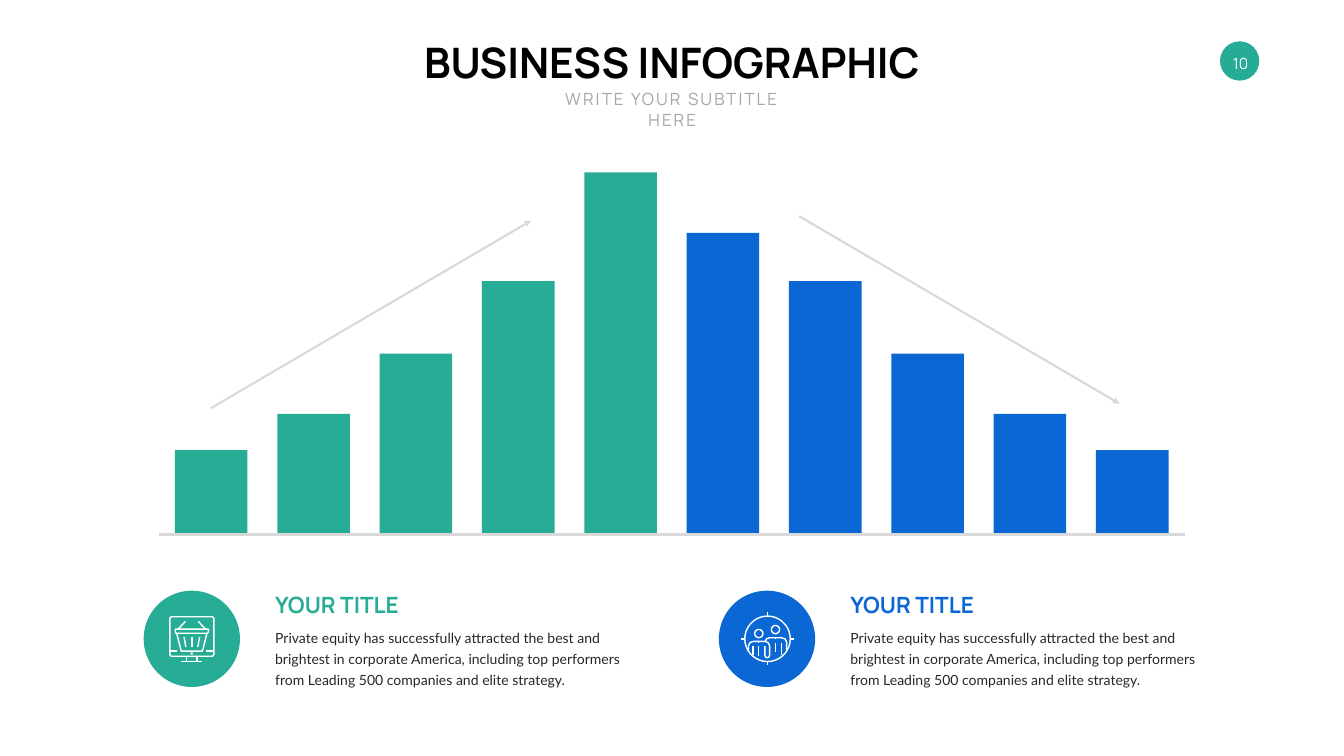
"""Build a rise-and-fall bar infographic slide with two captioned icons."""
import math
from dataclasses import dataclass

import pptx
import pptx.dml.color
import pptx.enum.shapes
import pptx.enum.text
import pptx.oxml
import pptx.oxml.ns
import pptx.util

Inches, Pt = pptx.util.Inches, pptx.util.Pt
SHAPE = pptx.enum.shapes.MSO_SHAPE
ALIGN = pptx.enum.text.PP_ALIGN
ANCHOR = pptx.enum.text.MSO_ANCHOR
Point = tuple[float, float]
Stroke = list[Point]


@dataclass(frozen=True)
class Theme:
    green: str = "27AC95"
    blue: str = "0A67D4"
    badge: str = "26AC95"
    line: str = "D9D9D9"
    muted: str = "A6A6A6"
    ink: str = "272727"
    black: str = "000000"
    white: str = "FFFFFF"
    display: str = "Manrope"
    body: str = "Lato"
    title_pt: int = 60
    heading_pt: int = 32
    subtitle_pt: int = 24
    number_pt: int = 22
    body_pt: int = 20
    leading_pt: int = 30


@dataclass(frozen=True)
class Grid:
    left: float = 3.47
    base: float = 10.61
    column: float = 2.03
    row: float = 7.19 / 30
    bar: float = 1.44

    def x(self, column: float) -> float:
        return self.left + column * self.column

    def y(self, rows: float) -> float:
        return self.base - rows * self.row


@dataclass(frozen=True)
class Bar:
    rows: int
    color: str


@dataclass(frozen=True)
class Rule:
    start: Point
    end: Point
    width: float
    arrow: bool


@dataclass(frozen=True)
class Caption:
    left: float
    color: str
    icon: list[Stroke]
    icon_size: float
    icon_offset: Point


def ring(cx: float, cy: float, r: float, steps: int = 36) -> Stroke:
    turns = [2 * math.pi * i / steps for i in range(steps + 1)]
    return [(cx + r * math.cos(a), cy + r * math.sin(a)) for a in turns]


T, G = Theme(), Grid()
WIDTH, HEIGHT = 26.66, 15
BARS = [Bar(n, T.green) for n in (7, 10, 15, 21, 30)]
BARS += [Bar(n, T.blue) for n in (25, 21, 15, 10, 7)]
RULES = [
    Rule((0.35, 10.47), (3.48, 26), 3, True),
    Rule((6.1, 26.37), (9.23, 10.85), 3, True),
    Rule((-0.16, 0), (9.87, 0), 5, False),
]
BASKET = [
    [(5, 2), (95, 2), (98, 5), (98, 85), (95, 88), (5, 88), (2, 85), (2, 5), (5, 2)],
    [(2, 77), (18, 77)], [(82, 77), (98, 77)],
    [(39, 88), (39, 99)], [(61, 88), (61, 99)], [(27, 99), (73, 99)],
    [(14, 29), (86, 29), (86, 35), (84, 38), (16, 38), (14, 35), (14, 29)],
    [(17, 38), (27, 77), (73, 77), (83, 38)],
    [(33, 46), (37, 68)], [(50, 46), (50, 68)], [(67, 46), (63, 68)],
    [(20, 29), (36, 12)], [(80, 29), (64, 12)], ring(50, 82, 1),
]
PEOPLE = [
    ring(50, 50, 43), ring(33.5, 40, 7.7), ring(65, 32.5, 7.7),
    [(50, 0), (50, 8)], [(50, 92), (50, 100)], [(0, 50), (8, 50)], [(92, 50), (100, 50)],
    [(14, 72), (14, 63), (17, 57), (23, 55), (45, 55), (51, 57), (54, 63), (54, 81),
     (53, 84), (50, 86), (46, 84), (45, 81), (45, 64)],
    [(46, 55), (48, 50), (54, 48), (76, 48), (83, 50), (86, 56), (86, 71)],
    [(22.5, 64), (22.5, 81)], [(33.5, 63), (33.5, 82)], [(33.5, 55), (33.5, 58)],
    [(76, 57), (76, 81)], [(65, 57), (65, 75)], [(65, 48), (65, 51)],
]
CAPTIONS = [
    Caption(2.85, T.green, BASKET, 0.91, (0.5, 0.5)),
    Caption(14.26, T.blue, PEOPLE, 1.05, (0.44, 0.43)),
]
CAPTION_TEXT = ("Private equity has successfully attracted the best and brightest in corporate "
                "America, including top performers from Leading 500 companies and elite strategy.")


def rgb(color: str) -> pptx.dml.color.RGBColor:
    return pptx.dml.color.RGBColor.from_string(color)


def add_shape(s, kind, left: float, top: float, width: float, height: float, color: str | None = None):
    sp = s.shapes.add_shape(kind, *map(Inches, (left, top, width, height)))
    sp.shadow.inherit = False
    sp.line.fill.background()
    if color:
        sp.fill.solid()
        sp.fill.fore_color.rgb = rgb(color)
    else:
        sp.fill.background()
    return sp


def write(sp, text: str, size: int, color: str, font: str = T.display, bold: bool = False,
          align=ALIGN.LEFT, anchor=ANCHOR.TOP, wrap: bool = False):
    tf = sp.text_frame
    tf.word_wrap, tf.vertical_anchor = wrap, anchor
    tf.auto_size = pptx.enum.text.MSO_AUTO_SIZE.SHAPE_TO_FIT_TEXT
    p = tf.paragraphs[0]
    p.alignment = align
    r = p.add_run()
    r.text = text
    r.font.size, r.font.name, r.font.bold = Pt(size), font, bold
    r.font.color.rgb = rgb(color)
    return p


def add_text_box(s, left: float, top: float, width: float, height: float):
    return s.shapes.add_textbox(*map(Inches, (left, top, width, height)))


def draw_header(s) -> None:
    title = s.shapes.title
    title.left, title.top, title.width, title.height = map(Inches, (8.2, 0.67, 10.26, 1.11))
    write(title, "BUSINESS INFOGRAPHIC", T.title_pt, T.black, bold=True, align=ALIGN.CENTER)
    subtitle = add_text_box(s, 10.62, 1.72, 5.43, 0.5)
    p = write(subtitle, "WRITE YOUR SUBTITLE HERE", T.subtitle_pt, T.muted, align=ALIGN.CENTER, wrap=True)
    p.runs[0].font._element.set("spc", "300")


def draw_badge(s) -> None:
    add_shape(s, SHAPE.OVAL, 24.2, 0.82, 0.78, 0.78, T.badge)
    number = add_shape(s, SHAPE.OVAL, 24.22, 0.86, 0.78, 0.78)
    tf = number.text_frame
    tf.margin_left = tf.margin_right = tf.margin_top = tf.margin_bottom = Inches(0.05)
    write(number, "10", T.number_pt, T.white, align=ALIGN.CENTER, anchor=ANCHOR.MIDDLE)


def draw_bar(s, column: int, bar: Bar) -> None:
    add_shape(s, SHAPE.RECTANGLE, G.x(column), G.y(bar.rows), G.bar, bar.rows * G.row, bar.color)


def draw_rule(s, rule: Rule) -> None:
    ends = [f(v) for point in (rule.start, rule.end) for f, v in zip((G.x, G.y), point)]
    line = s.shapes.add_connector(pptx.enum.shapes.MSO_CONNECTOR.STRAIGHT, *map(Inches, ends))
    line.line.color.rgb = rgb(T.line)
    line.line.width = Pt(rule.width)
    if rule.arrow:
        ln = line.line._get_or_add_ln()
        pptx.oxml.parse_xml(f'<a:ln {pptx.oxml.ns.nsdecls("a")}/>')
        ln.append(pptx.oxml.parse_xml(f'<a:tailEnd {pptx.oxml.ns.nsdecls("a")} type="triangle"/>'))
    effects = pptx.oxml.parse_xml(f'<a:effectLst {pptx.oxml.ns.nsdecls("a")}/>')
    line._element.spPr.append(effects)


def draw_icon(s, strokes: list[Stroke], left: float, top: float, size: float) -> None:
    scaled = [[(x * 10, y * 10) for x, y in stroke] for stroke in strokes]
    builder = s.shapes.build_freeform(*scaled[0][0], scale=Inches(size) / 1000)
    for i, (start, *rest) in enumerate(scaled):
        if i:
            builder.move_to(*start)
        builder.add_line_segments(rest, close=False)
    sp = builder.convert_to_shape(Inches(left), Inches(top))
    sp.shadow.inherit = False
    sp.fill.background()
    sp.line.color.rgb = rgb(T.white)
    sp.line.width = Pt(2)


def draw_caption(s, caption: Caption) -> None:
    top, text_left = 11.72, caption.left + 2.51
    dx, dy = caption.icon_offset
    add_shape(s, SHAPE.OVAL, caption.left, top, 1.91, 1.91, caption.color)
    draw_icon(s, caption.icon, caption.left + dx, top + dy, caption.icon_size)
    heading = add_text_box(s, text_left, top - 0.04, 2.68, 0.64)
    write(heading, "YOUR TITLE", T.heading_pt, caption.color, bold=True, anchor=ANCHOR.MIDDLE)
    body = add_text_box(s, text_left, top + 0.63, 7.06, 1.32)
    p = write(body, CAPTION_TEXT, T.body_pt, T.ink, T.body, wrap=True)
    p.line_spacing, p.space_before = Pt(T.leading_pt), Pt(4)


def main() -> None:
    prs = pptx.Presentation()
    prs.slide_width, prs.slide_height = Inches(WIDTH), Inches(HEIGHT)
    s = prs.slides.add_slide(prs.slide_layouts.get_by_name("Title Only"))
    draw_header(s)
    draw_badge(s)
    for column, bar in enumerate(BARS):
        draw_bar(s, column, bar)
    for rule in RULES:
        draw_rule(s, rule)
    for caption in CAPTIONS:
        draw_caption(s, caption)
    prs.save("out.pptx")


if __name__ == "__main__":
    main()
